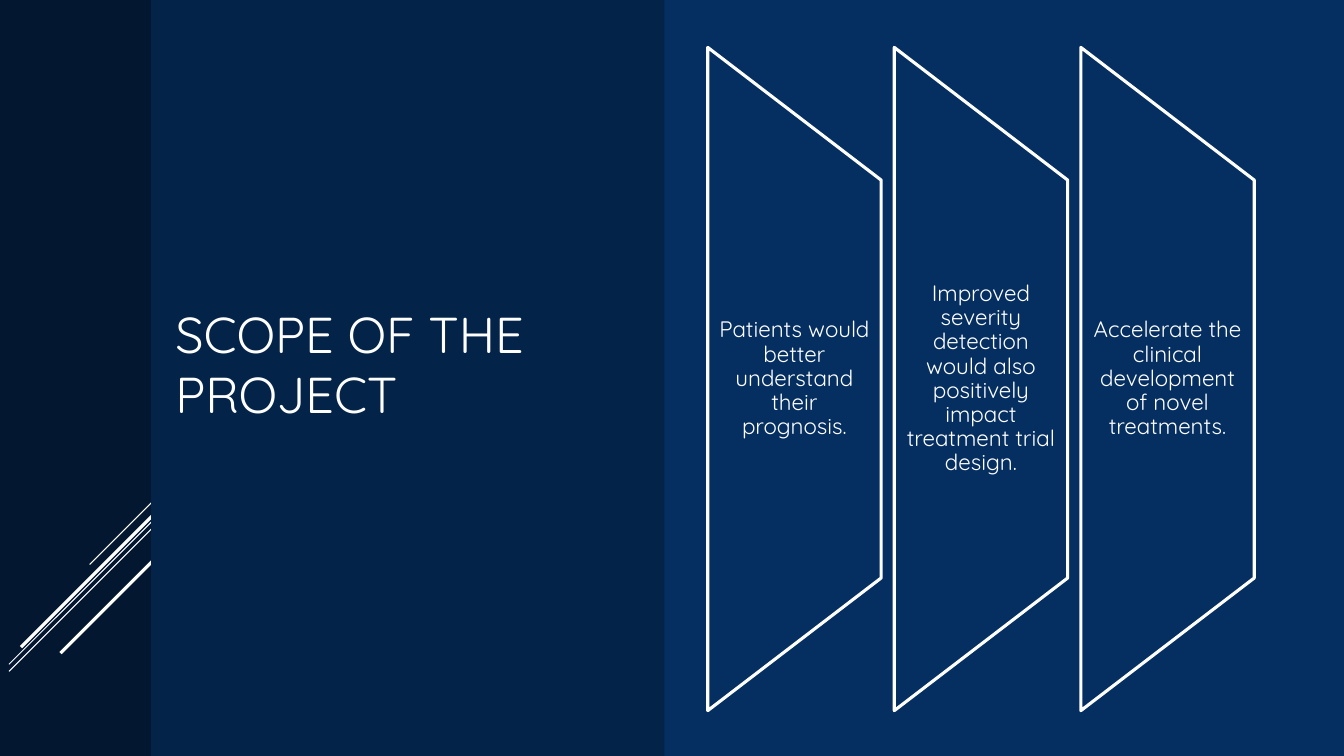
from dataclasses import dataclass

from lxml.etree import SubElement
from pptx import Presentation
from pptx.dml.color import RGBColor
from pptx.enum.shapes import MSO_CONNECTOR as Connector, MSO_SHAPE as Shape
from pptx.enum.text import MSO_ANCHOR as Anchor, MSO_AUTO_SIZE as AutoSize, PP_ALIGN as Align
from pptx.oxml.ns import qn
from pptx.util import Inches, Pt


@dataclass(frozen=True)
class Theme:
    font: str = "Quicksand"
    backdrop: str = "052F61"
    side_band: str = "031730"
    title_panel: str = "042349"
    light: str = "FFFFFF"
    title_size: float = 36
    body_size: float = 16
    thin: float = 0.75
    thick: float = 2.25


THEME = Theme()
WIDTH, HEIGHT = Inches(13.33), Inches(7.5)

BENEFITS = (
    "Patients would better understand their prognosis.",
    "Improved severity detection would also positively impact treatment trial design.",
    "Accelerate the clinical development of novel treatments.",
)
STREAK_RIGHT = 12.3
STREAKS = (
    (64.67, 5.63, THEME.thin),
    (67.2, 11.63, THEME.thin),
    (68.13, 11.63, THEME.thin),
    (66.53, 10.73, THEME.thick),
    (72.53, 7.8, THEME.thick),
)
CARD_LEFT, CARD_TOP, CARD_WIDTH, CARD_HEIGHT = 52.66, 6.27, 12.9, 87.73
CARD_STEP = 13.88


def across(percent):
    return round(WIDTH * percent / 100)


def down(percent):
    return round(HEIGHT * percent / 100)


def color(code):
    return RGBColor.from_string(code)


def write(box, text, *, size, align, inset=0.1, inset_y=0.05, line_spacing=1.0, space_after=0):
    frame = box.text_frame
    frame.word_wrap = True
    frame.auto_size = AutoSize.NONE
    frame.vertical_anchor = Anchor.MIDDLE
    frame.margin_left = frame.margin_right = Inches(inset)
    frame.margin_top = frame.margin_bottom = Inches(inset_y)
    para = frame.paragraphs[0]
    para.alignment = align
    para.line_spacing = line_spacing
    para.space_after = Pt(space_after)
    span = para.add_run()
    span.text = text
    span.font.name = THEME.font
    span.font.size = Pt(size)
    span.font.color.rgb = color(THEME.light)


def add_panel(page, left, width, fill):
    panel = page.shapes.add_shape(Shape.RECTANGLE, across(left), 0, across(width), HEIGHT)
    panel.shadow.inherit = False
    panel.fill.solid()
    panel.fill.fore_color.rgb = color(fill)
    panel.line.fill.background()


def add_streak(page, top, run, weight):
    right, start, length = across(STREAK_RIGHT), down(top), across(run)
    streak = page.shapes.add_connector(
        Connector.STRAIGHT, right, start, right - length, start + length)
    streak.line.color.rgb = color(THEME.light)
    streak.line.width = Pt(weight)
    SubElement(streak.element.spPr, qn("a:effectLst"))


def add_title(page, text):
    title = page.shapes.title
    title.left, title.top = across(12.3), down(14.53)
    title.width, title.height = across(33.61), down(67.07)
    write(title, text, size=THEME.title_size, align=Align.LEFT)
    page.shapes.element.append(title.element)


def add_card(page, column, text):
    left, top = across(CARD_LEFT + column * CARD_STEP), down(CARD_TOP)
    width, height = across(CARD_WIDTH), down(CARD_HEIGHT)
    turn_shift = (height - width) // 2
    outline = page.shapes.add_shape(
        Shape.FLOWCHART_MANUAL_OPERATION, left - turn_shift, top + turn_shift, height, width)
    outline.rotation = 270
    outline.shadow.inherit = False
    outline.fill.solid()
    outline.fill.fore_color.rgb = color(THEME.backdrop)
    outline.line.color.rgb = color(THEME.light)
    outline.line.width = Pt(THEME.thick)

    box = page.shapes.add_textbox(left, top + height // 5, width, height * 3 // 5)
    write(box, text, size=THEME.body_size, align=Align.CENTER,
          inset=0.11, inset_y=0, line_spacing=0.9, space_after=5.6)


def main():
    deck = Presentation()
    deck.slide_width, deck.slide_height = WIDTH, HEIGHT
    page = deck.slides.add_slide(deck.slide_layouts.get_by_name("Title Only"))

    add_panel(page, 0, 100, THEME.backdrop)
    add_panel(page, 0, 11.78, THEME.side_band)
    for top, run, weight in STREAKS:
        add_streak(page, top, run, weight)
    add_panel(page, 11.25, 38.19, THEME.title_panel)
    add_title(page, "SCOPE OF THE PROJECT")
    for column, text in enumerate(BENEFITS):
        add_card(page, column, text)

    deck.save("out.pptx")


if __name__ == "__main__":
    main()
